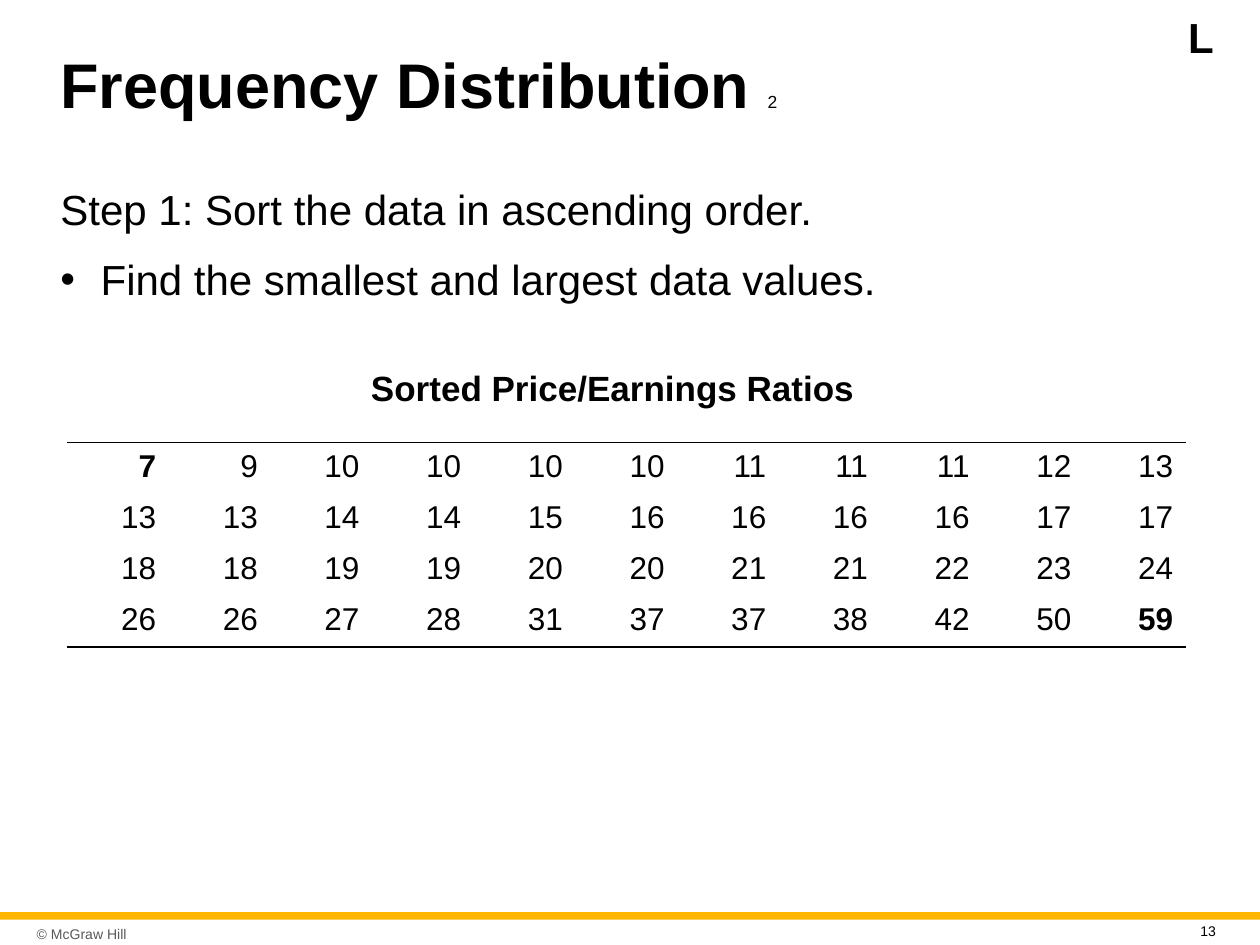
from lxml import etree
from pptx import Presentation
from pptx import util as u
from pptx.dml.color import RGBColor
from pptx.enum import shapes, text
from pptx.oxml.ns import qn

BLACK = RGBColor(0, 0, 0)
GREY = RGBColor(0x59, 0x59, 0x59)
GOLD = RGBColor(0xFF, 0xB6, 0x00)

RATIOS = [
    [7, 9, 10, 10, 10, 10, 11, 11, 11, 12, 13],
    [13, 13, 14, 14, 15, 16, 16, 16, 16, 17, 17],
    [18, 18, 19, 19, 20, 20, 21, 21, 22, 23, 24],
    [26, 26, 27, 28, 31, 37, 37, 38, 42, 50, 59],
]
LAST_ROW, LAST_COLUMN = len(RATIOS) - 1, len(RATIOS[0]) - 1
EXTREMES = [(0, 0), (LAST_ROW, LAST_COLUMN)]

BAR = (0, 18.39, 25.4, 0.15)
TABLE = (1.35, 8.92, 22.55, 4.12)
MIDDLE = {"vertical_anchor": text.MSO_ANCHOR.MIDDLE}
TIGHT = dict.fromkeys(
    ("margin_left", "margin_right", "margin_top", "margin_bottom"), u.Cm(0.13))
CENTRED = {"alignment": text.PP_ALIGN.CENTER}
BULLETED = {"space_before": u.Pt(11)}

TEXTS = [
    {"at": (0.61, 18.52, 3.43, 0.61), "frame": {**MIDDLE, **TIGHT},
     "paras": [([("© McGraw Hill", 8, False, GREY)], {}, None)]},
    {"at": (0.97, 0.53, 22.76, 2.51), "frame": MIDDLE,
     "paras": [([("Frequency Distribution ", 36, True, BLACK),
                 ("2", 10, False, BLACK)], {"line_spacing": 0.9}, None)]},
    {"at": (23.7, 0.1, 1.2, 1.2), "frame": {"margin_right": 0},
     "paras": [([("L", 24, True, BLACK)], {}, None)]},
    {"at": (0.97, 3.58, 22.76, 2.97), "frame": {},
     "paras": [
         ([("Step 1: Sort the data in ascending order.", 24, False, BLACK)], {}, None),
         ([("Find the smallest and largest data values.", 24, False, BLACK)],
          BULLETED, "•")]},
    {"at": (0.97, 7.26, 22.76, 1.22), "frame": {},
     "paras": [([("Sorted Price/Earnings Ratios", 20, True, BLACK)], CENTRED, None)]},
    {"at": (23.95, 18.47, 1.37, 0.53), "frame": {},
     "paras": [([("13", 8, False, BLACK)], {}, None)]},
]


def apply(target, formats):
    for name, value in formats.items():
        setattr(target, name, value)


def lengths(values):
    return [u.Cm(value) for value in values]


def add_span(para, words, size, bold, colour):
    span = para.add_run()
    span.text = words
    apply(span.font, {"name": "Arial", "size": u.Pt(size), "bold": bold})
    span.font.color.rgb = colour


def add_bullet(para, symbol):
    properties = para._p.get_or_add_pPr()
    indent = u.Cm(0.81)
    properties.set("marL", str(indent))
    properties.set("indent", str(-indent))
    etree.SubElement(properties, qn("a:buFont"), typeface="Arial")
    etree.SubElement(properties, qn("a:buChar"), char=symbol)


def add_text(page, at, frame, paras):
    box = page.shapes.add_textbox(*lengths(at)).text_frame
    apply(box, {"word_wrap": True, **frame})
    for index, (spans, formats, symbol) in enumerate(paras):
        para = box.add_paragraph() if index else box.paragraphs[0]
        if symbol:
            add_bullet(para, symbol)
        apply(para, formats)
        for span in spans:
            add_span(para, *span)


def add_borders(cell, ruled):
    properties = cell._tc.get_or_add_tcPr()
    for position, side in enumerate(("lnL", "lnR", "lnT", "lnB")):
        line = etree.Element(qn(f"a:{side}"), w=str(u.Pt(1) if side in ruled else 0))
        if side in ruled:
            fill = etree.SubElement(line, qn("a:solidFill"))
            etree.SubElement(fill, qn("a:srgbClr"), val=str(BLACK))
        else:
            etree.SubElement(line, qn("a:noFill"))
        properties.insert(position, line)


def add_ratios(page):
    left, top, width, height = lengths(TABLE)
    table = page.shapes.add_table(
        len(RATIOS), len(RATIOS[0]), left, top, width, height).table
    apply(table, {"first_row": False, "horz_banding": False})
    for row, values in enumerate(RATIOS):
        ruled = {0: ["lnT"], LAST_ROW: ["lnB"]}.get(row, [])
        for column, value in enumerate(values):
            cell = table.cell(row, column)
            cell.fill.background()
            add_borders(cell, ruled)
            para = cell.text_frame.paragraphs[0]
            para.alignment = text.PP_ALIGN.RIGHT
            add_span(para, str(value), 18, (row, column) in EXTREMES, BLACK)


def main():
    deck = Presentation()
    apply(deck, {"slide_width": u.Cm(25.4), "slide_height": u.Cm(19.05)})
    page = deck.slides.add_slide(deck.slide_layouts[6])
    bar = page.shapes.add_shape(shapes.MSO_SHAPE.RECTANGLE, *lengths(BAR))
    bar.shadow.inherit = False
    bar.fill.solid()
    bar.fill.fore_color.rgb = GOLD
    bar.line.fill.background()
    for item in TEXTS:
        add_text(page, **item)
    add_ratios(page)
    deck.save("out.pptx")


if __name__ == "__main__":
    main()
